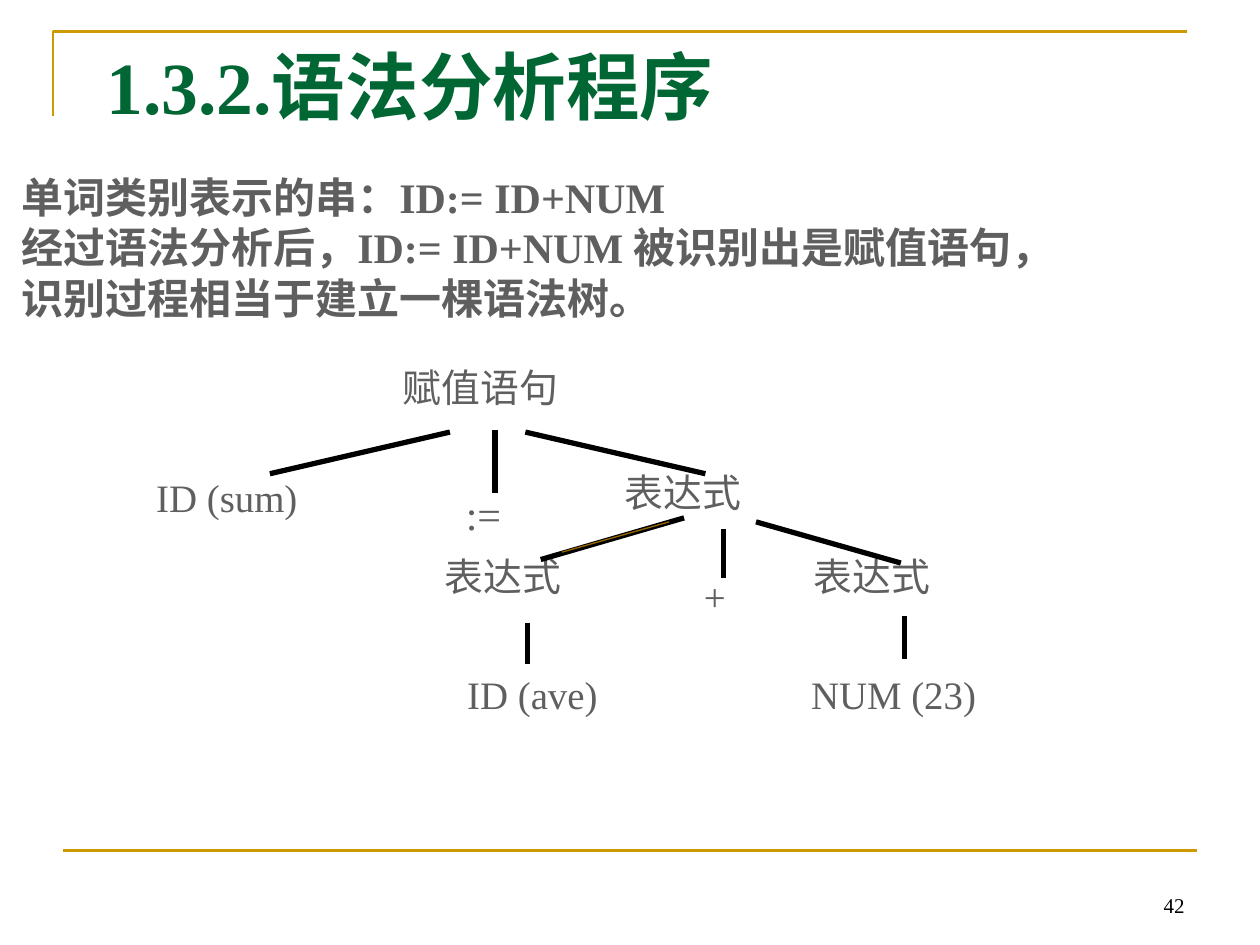
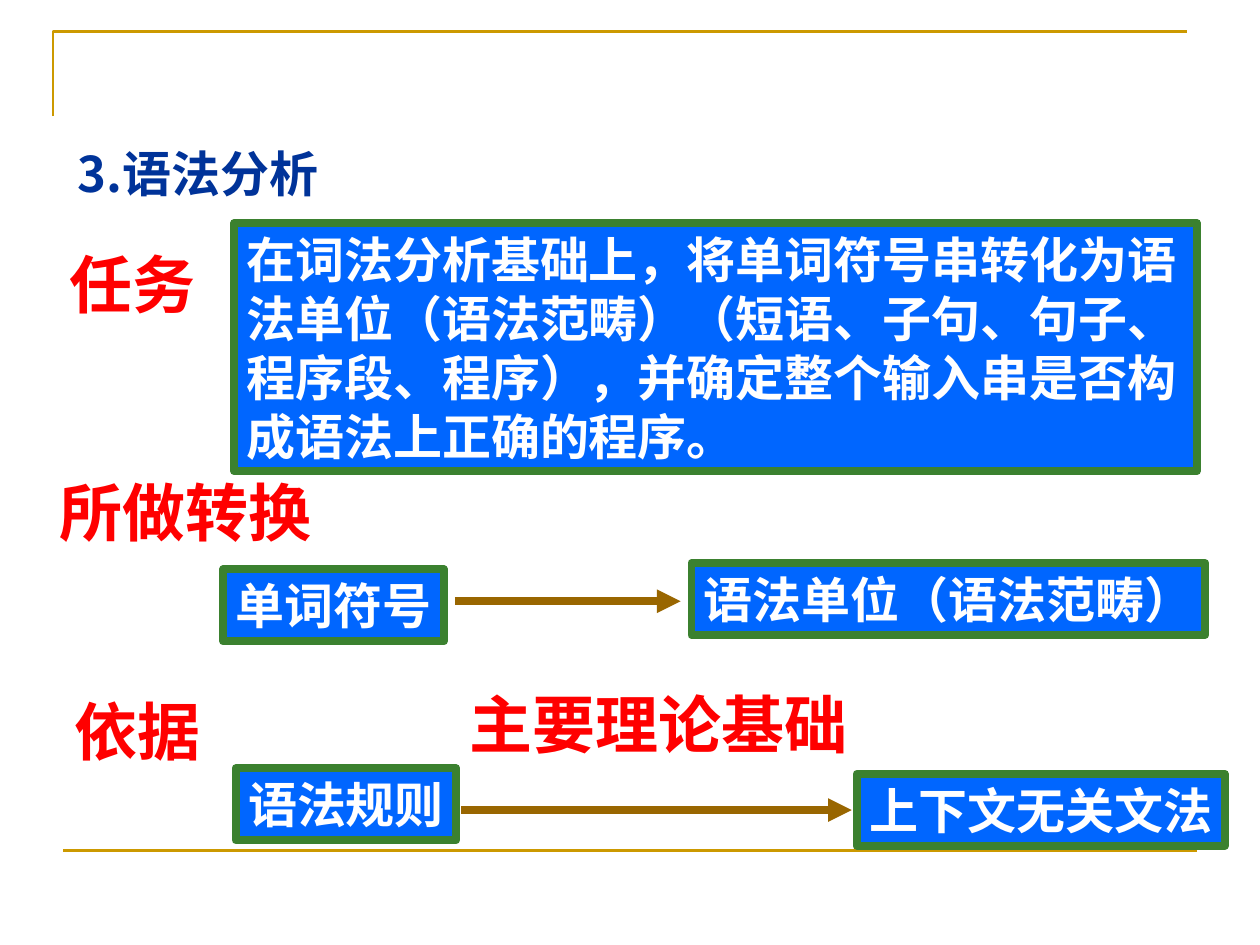
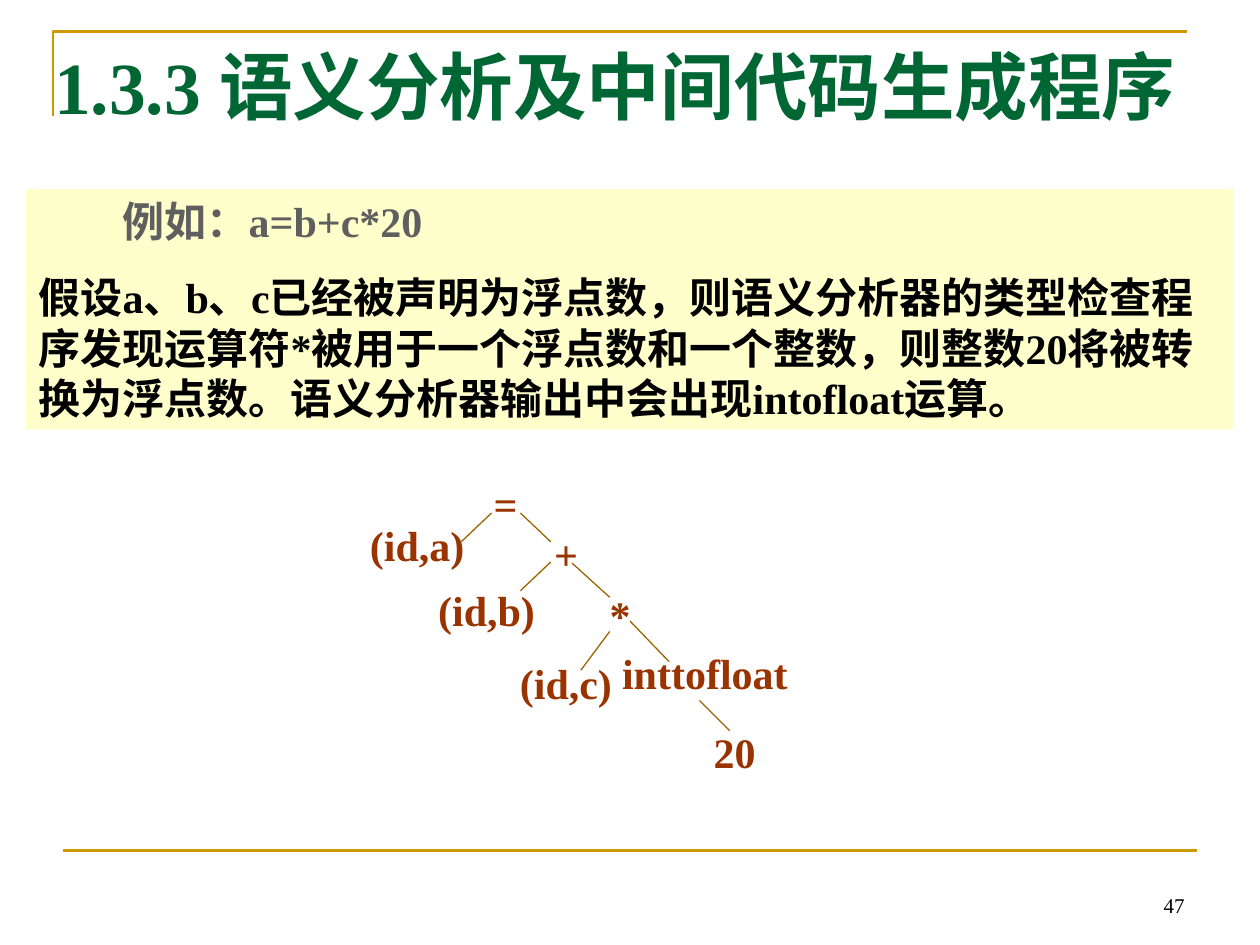
from dataclasses import dataclass

from lxml import etree
from pptx import Presentation
from pptx import util as u
from pptx.dml.color import RGBColor
from pptx.enum import shapes, text
from pptx.oxml.ns import qn


@dataclass(frozen=True)
class Theme:
    latin: str = "Times New Roman"
    chinese: str = "Noto Sans CJK SC"
    gold: str = "CC9900"
    brown: str = "996600"
    green: str = "006633"
    rust: str = "993300"
    grey: str = "5F5F5F"
    navy: str = "003399"
    red: str = "FF0000"
    blue: str = "0066FF"
    border: str = "3B812F"
    cream: str = "FFFFCC"
    white: str = "FFFFFF"
    black: str = "000000"
    title: float = 42
    heading: float = 36
    box: float = 28
    body: float = 24
    node: float = 22.2
    number: float = 12
    frame_line: float = 1.5
    thin_line: float = 0.75
    branch_line: float = 3
    heavy_line: float = 4.5


THEME = Theme()
CENTER = {"alignment": text.PP_ALIGN.CENTER}
MIDDLE = {"vertical_anchor": text.MSO_ANCHOR.MIDDLE, "word_wrap": False}


def make_style(size, color, bold=True, name=THEME.latin, paragraph=None, frame=None):
    return {
        "font": {"size": u.Pt(size), "bold": bold, "name": name},
        "color": color,
        "paragraph": paragraph or {},
        "frame": {"word_wrap": True, **(frame or {})},
    }


TITLE = make_style(THEME.title, THEME.green)
NUMBER = make_style(THEME.number, THEME.black, False,
                    paragraph={"alignment": text.PP_ALIGN.RIGHT},
                    frame={"vertical_anchor": text.MSO_ANCHOR.BOTTOM})
INTRO = make_style(THEME.body, THEME.grey, frame=MIDDLE)
NODE = make_style(THEME.node, THEME.grey, False, paragraph={"line_spacing": 0.9})
ASSIGN = make_style(THEME.body, THEME.grey, False)
SECTION = make_style(THEME.box, THEME.navy, name=THEME.chinese, frame={"word_wrap": False})
HEADING = make_style(THEME.heading, THEME.red, name=THEME.chinese, paragraph=CENTER, frame=MIDDLE)
BOX = make_style(THEME.box, THEME.white, name=THEME.chinese, paragraph=CENTER, frame=MIDDLE)
TASK = make_style(THEME.box, THEME.white, name=THEME.chinese,
                  paragraph={"alignment": text.PP_ALIGN.LEFT},
                  frame={"vertical_anchor": text.MSO_ANCHOR.MIDDLE})
EXAMPLE = make_style(THEME.body, THEME.grey,
                     paragraph={"alignment": text.PP_ALIGN.LEFT},
                     frame={"vertical_anchor": text.MSO_ANCHOR.TOP})
OPERATOR = make_style(THEME.body, THEME.rust, paragraph=CENTER)
ROOT = make_style(THEME.body, THEME.rust)


def apply_format(target, values):
    for name, value in values.items():
        setattr(target, name, value)


def cm(*lengths):
    return [u.Cm(length) for length in lengths]


def write_text(shape, lines, style):
    frame = shape.text_frame
    apply_format(frame, style["frame"])
    for index, line in enumerate(lines):
        paragraph = frame.add_paragraph() if index else frame.paragraphs[0]
        apply_format(paragraph, style["paragraph"])
        run = paragraph.add_run()
        run.text = line
        apply_format(run.font, style["font"])
        run.font.color.rgb = RGBColor.from_string(style["color"])
        east_asian = etree.SubElement(run.font._element, qn("a:ea"))
        east_asian.set("typeface", THEME.chinese)
    return frame


def set_line(shape, color, width):
    shape.line.color.rgb = RGBColor.from_string(color)
    shape.line.width = u.Pt(width)


def add_text(slide, lines, style, left, top, width, height=1.27):
    return write_text(slide.shapes.add_textbox(*cm(left, top, width, height)), lines, style)


def add_box(slide, lines, style, left, top, width, height=1.45,
            fill=THEME.blue, border=THEME.border):
    shape = slide.shapes.add_shape(shapes.MSO_SHAPE.RECTANGLE, *cm(left, top, width, height))
    shape.shadow.inherit = False
    shape.fill.solid()
    shape.fill.fore_color.rgb = RGBColor.from_string(fill)
    if border:
        set_line(shape, border, THEME.heavy_line)
    else:
        shape.line.fill.background()
    return write_text(shape, lines, style)


def add_line(slide, points, color, width, arrow=False):
    connector = slide.shapes.add_connector(shapes.MSO_CONNECTOR.STRAIGHT, *cm(*points))
    set_line(connector, color, width)
    if arrow:
        etree.SubElement(connector.line._get_or_add_ln(), qn("a:tailEnd"), type="triangle")
    etree.SubElement(connector._element.spPr, qn("a:effectLst"))


def add_page(presentation, number=None):
    slide = presentation.slides.add_slide(presentation.slide_layouts[6])
    builder = slide.shapes.build_freeform(*cm(1.07, 2.34))
    builder.add_line_segments([cm(1.07, 0.64), cm(23.93, 0.64)], close=False)
    corner = builder.convert_to_shape()
    corner.shadow.inherit = False
    corner.fill.background()
    set_line(corner, THEME.gold, THEME.frame_line)
    add_line(slide, (1.27, 17.15, 24.13, 17.15), THEME.gold, THEME.frame_line)
    if number:
        add_text(slide, [number], NUMBER, 18.21, 17.35, 5.92)
    return slide


def build_syntax_tree(presentation):
    slide = add_page(presentation, "42")
    add_text(slide, ["1.3.2.语法分析程序"], TITLE, 1.9, 0.71, 21.59, 2.1)
    add_text(slide, ["单词类别表示的串：ID:= ID+NUM",
                     "经过语法分析后，ID:= ID+NUM 被识别出是赋值语句，",
                     "识别过程相当于建立一棵语法树。"], INTRO, 0.18, 3.33, 21.72, 3.3)
    add_text(slide, [":="], ASSIGN, 9.14, 9.73, 2.9, 1.7)
    for label, left, top, width in (
        ("赋值语句", 7.87, 7.32, 5.08),
        ("ID (sum)", 2.9, 9.53, 4.67),
        ("表达式", 12.34, 9.42, 4.37),
        ("表达式", 8.71, 11.13, 4.37),
        ("+", 13.94, 11.53, 2.18),
        ("表达式", 16.15, 11.13, 4.37),
        ("ID (ave)", 9.17, 13.51, 4.67),
        ("NUM (23)", 16.1, 13.51, 5.82),
    ):
        add_text(slide, [label], NODE, left, top, width)
    for branch in (
        (9.07, 8.71, 5.44, 9.55),
        (9.98, 8.66, 9.98, 9.93),
        (10.59, 8.71, 14.22, 9.55),
        (13.79, 10.44, 10.9, 11.28),
        (14.58, 10.67, 14.58, 11.66),
        (15.24, 10.52, 18.16, 11.35),
        (10.64, 12.55, 10.64, 13.39),
        (18.24, 12.42, 18.24, 13.28),
    ):
        add_line(slide, branch, THEME.black, THEME.branch_line)
    add_line(slide, (13.49, 10.52, 11.33, 11.13), THEME.brown, THEME.thin_line)


def build_syntax_summary(presentation):
    slide = add_page(presentation)
    add_text(slide, ["3.语法分析"], SECTION, 1.32, 2.77, 5.87, 1.45)
    for heading, left, top, width in (
        ("任务", 1.14, 4.83, 3.05),
        ("所做转换", 0.94, 9.42, 5.59),
        ("依据", 1.24, 13.84, 3.05),
        ("主要理论基础", 9.22, 13.69, 8.13),
    ):
        add_text(slide, [heading], HEADING, left, top, width, 1.78)
    add_box(slide, ["在词法分析基础上，将单词符号串转化为语法单位（语法范畴）"
                    "（短语、子句、句子、程序段、程序），并确定整个输入串是否构成语法上正确的程序。"],
            TASK, 4.72, 4.5, 19.41, 5)
    for label, left, top, width in (
        ("单词符号", 4.5, 11.48, 4.45),
        ("语法单位（语法范畴）", 13.94, 11.35, 10.36),
        ("语法规则", 4.75, 15.49, 4.45),
        ("上下文无关文法", 17.27, 15.6, 7.42),
    ):
        add_box(slide, [label], BOX, left, top, width)
    for arrow in ((9.17, 12.12, 13.72, 12.12), (9.3, 16.33, 17.17, 16.33)):
        add_line(slide, arrow, THEME.brown, THEME.heavy_line, arrow=True)


def build_semantic_tree(presentation):
    slide = add_page(presentation, "47")
    add_text(slide, ["1.3.3 语义分析及中间代码生成程序"], TITLE, 0.84, 0.71, 24.56, 2.1)
    frame = add_box(slide, ["例如：a=b+c*20",
                            "假设a、b、c已经被声明为浮点数，则语义分析器的类型检查程序发现运算符*"
                            "被用于一个浮点数和一个整数，则整数20将被转换为浮点数。"
                            "语义分析器输出中会出现intofloat运算。"],
                    EXAMPLE, 0.53, 3.81, 24.33, 4.85, THEME.cream, None)
    example, explanation = frame.paragraphs
    example._p.get_or_add_pPr().set("indent", str(u.Pt(2 * THEME.body)))
    explanation.space_before = u.Pt(15)
    explanation.runs[0].font.color.rgb = RGBColor.from_string(THEME.black)
    add_text(slide, ["="], ROOT, 9.7, 9.53, 1.4)
    for label, left, top, width in (
        ("(id,a)", 6.91, 10.34, 3),
        ("+", 9.91, 10.52, 3),
        ("(id,b)", 8.31, 11.66, 3),
        ("*", 11, 11.76, 3),
        ("(id,c)", 9.91, 13.13, 3),
        ("inttofloat", 11.91, 12.93, 4.6),
        ("20", 13.31, 14.53, 3),
    ):
        add_text(slide, [label], OPERATOR, left, top, width)
    for branch in (
        (9.91, 10.34, 9.3, 10.92),
        (10.49, 10.34, 11.1, 10.92),
        (11.1, 11.33, 10.49, 11.91),
        (11.53, 11.35, 12.29, 12.04),
        (12.29, 12.73, 11.71, 13.51),
        (12.7, 12.52, 13.49, 13.34),
        (14.1, 14.12, 14.71, 14.73),
    ):
        add_line(slide, branch, THEME.brown, THEME.thin_line)


def main():
    presentation = Presentation()
    apply_format(presentation, {"slide_width": u.Cm(25.4), "slide_height": u.Cm(19.05)})
    build_syntax_tree(presentation)
    build_syntax_summary(presentation)
    build_semantic_tree(presentation)
    presentation.save("out.pptx")


if __name__ == "__main__":
    main()
